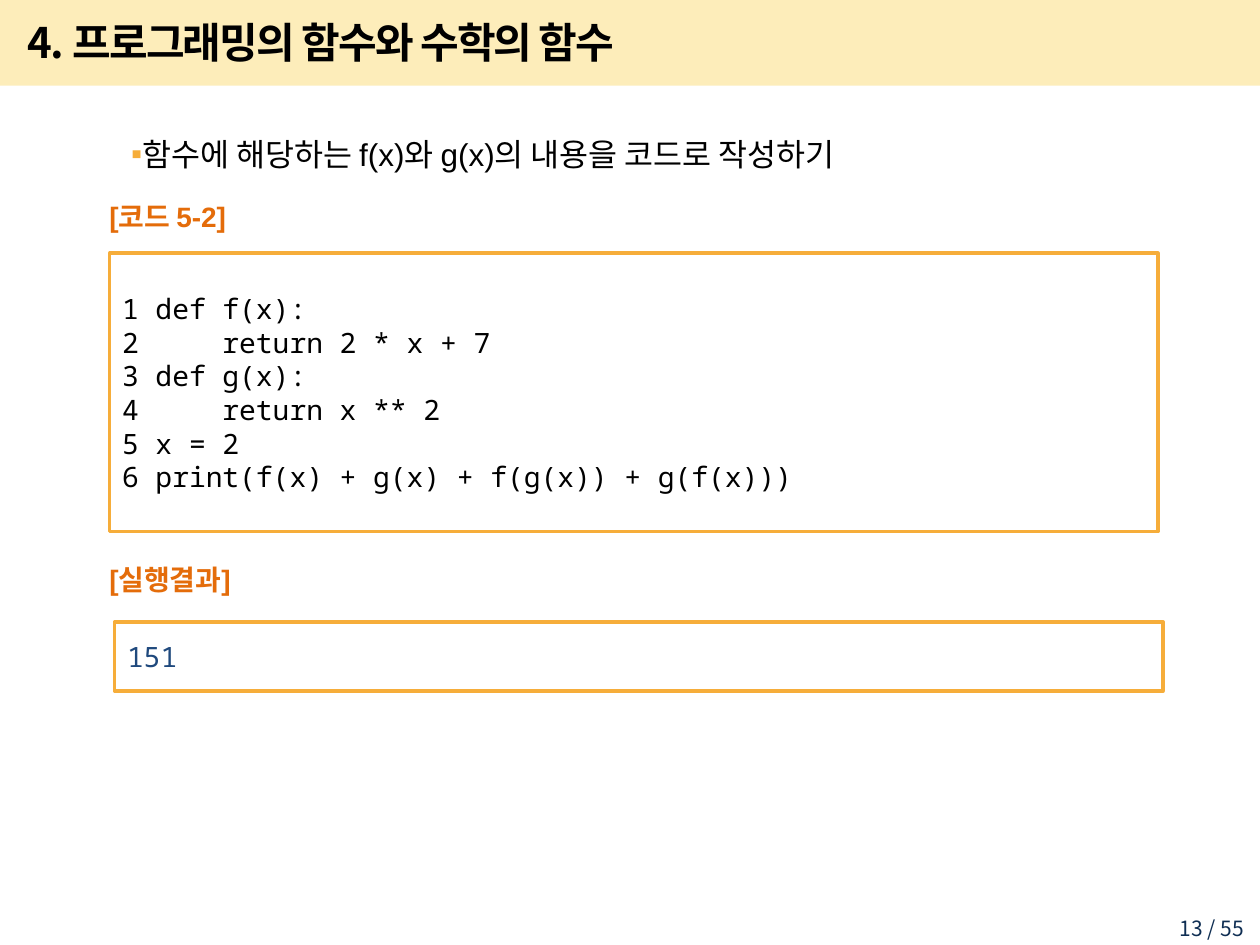
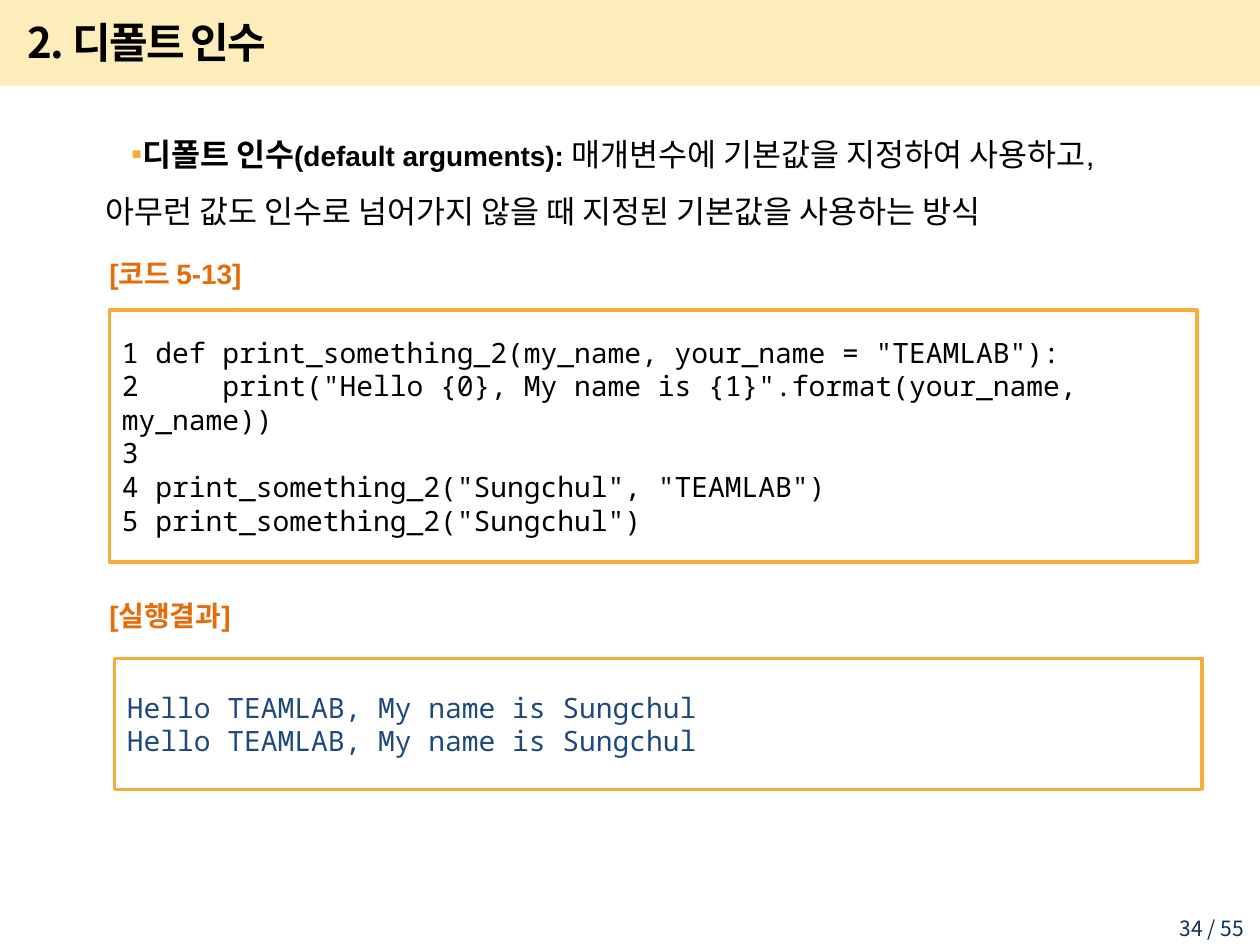
from dataclasses import dataclass

from lxml.etree import SubElement
from pptx import Presentation
from pptx.dml.color import RGBColor as Rgb
from pptx.enum.shapes import MSO_SHAPE as Shape
from pptx.enum.text import MSO_ANCHOR as Anchor, MSO_AUTO_SIZE as AutoSize, PP_ALIGN as Align
from pptx.oxml.ns import qn
from pptx.util import Inches, Pt

COLUMNS, ROWS = 100, 75
PAGE_COUNT = 55


@dataclass(frozen=True)
class Theme:
    ink: str = "000000"
    band: str = "FABE00"
    band_opacity: int = 27
    accent: str = "F6AD3A"
    label: str = "E46C0A"
    output: str = "1F497D"
    footer: str = "0F2E53"
    korean: str = "Noto Sans CJK KR"
    latin: str = "Arial"
    mono: str = "Noto Sans Mono"
    title_size: int = 24
    body_size: int = 18
    code_size: int = 16
    footer_size: int = 12
    border: int = 2


class Lesson:
    """Holds the deck, its theme and the slide being filled."""

    def __init__(self, theme):
        self.theme = theme
        self.deck = Presentation()
        self.deck.slide_width, self.deck.slide_height = Inches(10), Inches(7.5)
        self.page = None

    def area(self, left, top, width, height):
        """Turn grid columns and rows into slide lengths."""
        column = self.deck.slide_width / COLUMNS
        row = self.deck.slide_height / ROWS
        return (round(left * column), round(top * row),
                round(width * column), round(height * row))

    def start_page(self, number, title):
        self.page = self.deck.slides.add_slide(self.deck.slide_layouts[1])
        self.band()
        self.title(title)
        self.page_number(number)

    def band(self):
        band = self.page.shapes.add_shape(Shape.RECTANGLE, *self.area(0, 0, COLUMNS, 6.8))
        band.shadow.inherit = False
        band.line.fill.background()
        band.fill.solid()
        band.fill.fore_color.rgb = Rgb.from_string(self.theme.band)
        color = band.element.spPr.find(f".//{qn('a:srgbClr')}")
        SubElement(color, qn("a:alpha"), val=str(self.theme.band_opacity * 1000))
        self.page.shapes.element.insert(2, band.element)

    def style(self, para, font_name, size, color, bold=False, spacing=None):
        font = para.font
        font.name, font.size, font.bold = font_name, Pt(size), bold
        font.color.rgb = Rgb.from_string(color)
        defaults = para._p.find(f"{qn('a:pPr')}/{qn('a:defRPr')}")
        SubElement(defaults, qn("a:ea"), typeface=self.theme.korean)
        if spacing is not None:
            defaults.set("spc", str(spacing * 100))

    def set_place(self, holder, *grid):
        holder.left, holder.top, holder.width, holder.height = self.area(*grid)
        holder.text_frame.auto_size = AutoSize.NONE
        return holder.text_frame

    def title(self, text):
        frame = self.set_place(self.page.shapes.title, 1.2, 0.7, 85.1, 5.2)
        frame.text = text
        frame.vertical_anchor = Anchor.MIDDLE
        para = frame.paragraphs[0]
        para.alignment = Align.LEFT
        self.style(para, self.theme.korean, self.theme.title_size, self.theme.ink,
                   bold=True, spacing=-1)

    def page_number(self, number):
        box = self.page.shapes.add_textbox(*self.area(90.5, 72.2, 9.2, 2.3))
        para = box.text_frame.paragraphs[0]
        box.text_frame.word_wrap = True
        para.text = f"{number} / {PAGE_COUNT}"
        para.alignment = Align.RIGHT
        self.style(para, self.theme.korean, self.theme.footer_size, self.theme.footer)

    def bullet(self, *spans):
        """Fill the body with one bullet made of (text, size, bold) spans."""
        frame = self.set_place(self.page.placeholders[1], 3.5, 8.7, 91.5, 65.6)
        para = frame.paragraphs[0]
        para.level = 1
        para.line_spacing, para.space_before = 1.5, Pt(0)
        properties = para._p.get_or_add_pPr()
        properties.set("marL", str(Inches(0.39)))
        properties.set("indent", str(Inches(0.2)))
        SubElement(SubElement(properties, qn("a:buClr")), qn("a:srgbClr"),
                   val=self.theme.accent)
        SubElement(properties, qn("a:buChar"), char="▪")
        self.style(para, self.theme.latin, self.theme.body_size, self.theme.ink)
        for text, size, bold in spans:
            span = para.add_run()
            span.text = text
            span.font.size, span.font.bold = Pt(size), bold

    def label(self, text, top, height):
        box = self.page.shapes.add_textbox(*self.area(7.7, top, 15.7, height))
        frame = box.text_frame
        frame.word_wrap = True
        frame.vertical_anchor = Anchor.MIDDLE
        frame.text = text
        self.style(frame.paragraphs[0], self.theme.latin, self.theme.code_size,
                   self.theme.label, bold=True)

    def framed_lines(self, lines, color, *grid):
        box = self.page.shapes.add_shape(Shape.RECTANGLE, *self.area(*grid))
        box.shadow.inherit = False
        box.fill.background()
        box.line.color.rgb = Rgb.from_string(self.theme.accent)
        box.line.width = Pt(self.theme.border)
        frame = box.text_frame
        frame.word_wrap = True
        frame.vertical_anchor = Anchor.MIDDLE
        frame.text = "\n".join(lines)
        for para in frame.paragraphs:
            para.alignment = Align.LEFT
            self.style(para, self.theme.mono, self.theme.code_size, color)

    def code(self, number, lines, top, width, height):
        self.label(f"[코드 {number}]", top, 5)
        self.framed_lines(lines, self.theme.ink, 8.7, top + 5.4, width, height)

    def result(self, lines, top, width, height):
        self.label("[실행결과]", top, 5.5)
        self.framed_lines(lines, self.theme.output, 9.1, top + 6.15, width, height)


def main():
    theme = Theme()
    lesson = Lesson(theme)

    lesson.start_page(13, "4. 프로그래밍의 함수와 수학의 함수")
    lesson.bullet(("함수에 해당하는 f(x)와 g(x)의 내용을 코드로 작성하기", theme.body_size, False))
    lesson.code("5-2", [
        "1 def f(x):",
        "2     return 2 * x + 7",
        "3 def g(x):",
        "4     return x ** 2",
        "5 x = 2",
        "6 print(f(x) + g(x) + f(g(x)) + g(f(x)))",
    ], top=14.7, width=83.2, height=22.1)
    lesson.result(["151"], top=43.2, width=83.2, height=5.5)

    lesson.start_page(34, "2. 디폴트 인수")
    lesson.bullet(
        ("디폴트 인수", theme.body_size, True),
        ("(default arguments): ", theme.code_size, True),
        ("매개변수에 기본값을 지정하여 사용하고, 아무런 값도 인수로 넘어가지 않을 때 "
         "지정된 기본값을 사용하는 방식", theme.body_size, False),
    )
    lesson.code("5-13", [
        '1 def print_something_2(my_name, your_name = "TEAMLAB"):',
        '2     print("Hello {0}, My name is {1}".format(your_name, my_name))',
        "3",
        '4 print_something_2("Sungchul", "TEAMLAB")',
        '5 print_something_2("Sungchul")',
    ], top=19.2, width=86.3, height=20)
    lesson.result(["Hello TEAMLAB, My name is Sungchul"] * 2, top=46.1, width=86.3, height=10.4)

    lesson.deck.save("out.pptx")


if __name__ == "__main__":
    main()
